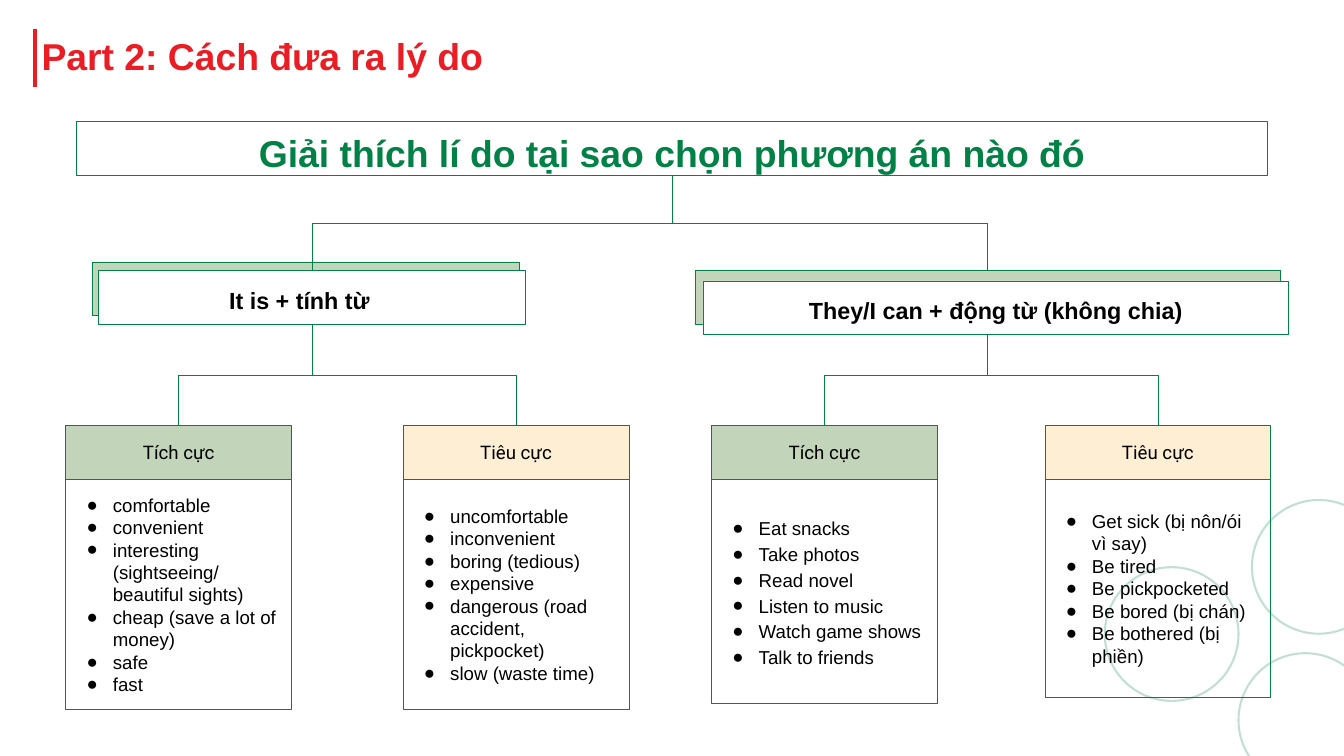
from dataclasses import dataclass

from lxml.etree import SubElement
from pptx import Presentation
from pptx.dml.color import RGBColor
from pptx.enum.shapes import MSO_AUTO_SHAPE_TYPE as Shape
from pptx.enum.shapes import MSO_CONNECTOR_TYPE as Connector
from pptx.enum.text import MSO_VERTICAL_ANCHOR as Anchor
from pptx.enum.text import PP_PARAGRAPH_ALIGNMENT as Align
from pptx.oxml.ns import qn
from pptx.util import Inches, Pt


@dataclass(frozen=True)
class Theme:
    red: str = "EB1C24"
    green: str = "018146"
    leaf: str = "38761D"
    amber: str = "F7B94C"
    white: str = "FFFFFF"
    black: str = "000000"
    font: str = "Arial"
    label_font: str = "Roboto"
    title_size: int = 40
    branch_size: int = 25
    body_size: int = 20
    thin: float = 0.75
    ring: float = 2.25
    bar: float = 4.5


THEME = Theme()
LEAF_FILL = (THEME.leaf, 30)
AMBER_FILL = (THEME.amber, 24)
WHITE_FILL = (THEME.white, 100)

TITLE_TEXT = dict(size=THEME.title_size, name=THEME.font, bold=True)
BRANCH_TEXT = dict(size=THEME.branch_size, name=THEME.font, bold=True)
LABEL_TEXT = dict(size=THEME.body_size, name=THEME.label_font)
BODY_TEXT = dict(size=THEME.body_size, name=THEME.font)

BOX_HEIGHT = 0.8
BRANCH_TOP = 4.03
CARD_TOP, CARD_WIDTH = 6.33, 3.36
RING_SIZE = 1.99
RINGS = [(16.44, 8.44), (18.63, 7.44), (18.43, 9.72)]

# Left edge, label, label fill, list height, line spacing, list items
CARDS = [
    (0.98, "Tích cực", LEAF_FILL, 3.43, 1.0,
     ["comfortable", "convenient", "interesting (sightseeing/", "beautiful sights)",
      "cheap (save a lot of money)", "safe", "fast"]),
    (6.0, "Tiêu cực", AMBER_FILL, 3.43, 1.0,
     ["uncomfortable", "inconvenient", "boring (tedious)", "expensive",
      "dangerous (road accident, pickpocket)", "slow (waste time)"]),
    (10.59, "Tích cực", LEAF_FILL, 3.33, 1.15,
     ["Eat snacks", "Take photos", "Read novel", "Listen to music",
      "Watch game shows", "Talk to friends"]),
    (15.55, "Tiêu cực", AMBER_FILL, 3.25, 1.0,
     ["Get sick (bị nôn/ói vì say)", "Be tired", "Be pickpocketed",
      "Be bored (bị chán)", "Be bothered (bị phiền)"]),
]
CONTINUATIONS = {"beautiful sights)"}  # carries on the item above, no bullet


def paint(fill, color, opacity=100):
    fill.solid()
    fill.fore_color.rgb = RGBColor.from_string(color)
    if opacity < 100:
        tint = fill._xPr.find(qn("a:solidFill"))[0]
        SubElement(tint, qn("a:alpha"), val=str(opacity * 1000))


def add_box(page, left, top, width, height, fill=None, kind=Shape.RECTANGLE,
            weight=THEME.thin, line_opacity=100):
    box = page.shapes.add_shape(kind, *map(Inches, (left, top, width, height)))
    box.shadow.inherit = False
    if fill:
        paint(box.fill, *fill)
    else:
        box.fill.background()
    paint(box.line.fill, THEME.green, line_opacity)
    box.line.width = Pt(weight)
    return box


def set_frame(box, side=0.2, edge=0.2, right=None):
    frame = box.text_frame
    settings = dict(word_wrap=True, vertical_anchor=Anchor.MIDDLE,
                    margin_left=Inches(side), margin_right=Inches(right or side),
                    margin_top=Inches(edge), margin_bottom=Inches(edge))
    for name, value in settings.items():
        setattr(frame, name, value)
    return frame


def write(para, text, style, color=THEME.black, align=Align.CENTER, spacing=1.0):
    para.alignment = align
    para.line_spacing = spacing
    span = para.add_run()
    span.text = text
    for name, value in style.items():
        setattr(span.font, name, Pt(value) if name == "size" else value)
    span.font.color.rgb = RGBColor.from_string(color)


def add_bullet(para, bulleted):
    props = para._p.get_or_add_pPr()
    props.set("marL", str(Inches(0.5)))
    props.set("indent", str(Inches(-0.39) if bulleted else 0))
    if bulleted:
        color = SubElement(props, qn("a:buClr"))
        SubElement(color, qn("a:srgbClr"), val=THEME.black)
        SubElement(props, qn("a:buFont"), typeface=THEME.font)
        SubElement(props, qn("a:buChar"), char="●")
    else:
        SubElement(props, qn("a:buNone"))


def style_connector(connector, color, weight):
    paint(connector.line.fill, color)
    connector.line.width = Pt(weight)
    SubElement(connector._element.spPr, qn("a:effectLst"))


def add_branch(page, parent, child):
    """Elbow from the parent's bottom down, across and down to the child's top."""
    x1, y1 = parent.left + parent.width // 2, parent.top + parent.height
    x2, y2 = child.left + child.width // 2, child.top
    elbow = page.shapes.add_connector(Connector.ELBOW, x1, y1, x2, y2)
    elbow.begin_connect(parent, 2)
    elbow.end_connect(child, 0)
    # The elbow is turned a quarter, so its width is the drop and its height the run
    drop, run = y2 - y1, abs(x2 - x1)
    frame = dict(left=(x1 + x2 - drop) // 2, top=(y1 + y2 - run) // 2,
                 width=drop, height=run)
    for name, value in frame.items():
        setattr(elbow, name, value)
    rightward = x2 > x1
    xfrm = elbow._element.spPr.find(qn("a:xfrm"))
    xfrm.set("rot", str((270 if rightward else 90) * 60000))
    xfrm.set("flipH", "1" if rightward else "0")
    style_connector(elbow, THEME.green, THEME.thin)


def add_card(page, left, label, fill, height, spacing, items):
    header = add_box(page, left, CARD_TOP, CARD_WIDTH, BOX_HEIGHT, fill)
    write(set_frame(header).paragraphs[0], label, LABEL_TEXT)
    body = add_box(page, left, CARD_TOP + BOX_HEIGHT, CARD_WIDTH, height)
    frame = set_frame(body)
    for index, item in enumerate(items):
        para = frame.add_paragraph() if index else frame.paragraphs[0]
        add_bullet(para, item not in CONTINUATIONS)
        write(para, item, BODY_TEXT, align=Align.LEFT, spacing=spacing)
    return header


def add_title(page):
    bar = page.shapes.add_connector(
        Connector.STRAIGHT, *map(Inches, (0.52, 0.43, 0.52, 1.3)))
    style_connector(bar, THEME.red, THEME.bar)
    box = page.shapes.add_textbox(*map(Inches, (0.52, 0.43, 18.96, 0.87)))
    write(set_frame(box, 0.1, 0.05).paragraphs[0], "Part 2: Cách đưa ra lý do",
          TITLE_TEXT, THEME.red, Align.LEFT, 0.9)


def main():
    deck = Presentation()
    deck.slide_width, deck.slide_height = Inches(20), Inches(11.25)
    page = deck.slides.add_slide(deck.slide_layouts[6])

    # Background rings and title
    for left, top in RINGS:
        add_box(page, left, top, RING_SIZE, RING_SIZE, kind=Shape.OVAL,
                weight=THEME.ring, line_opacity=24)
    add_title(page)

    # Root and the two branches, each with a tinted box behind
    root = add_box(page, 1.14, 1.81, 17.72, BOX_HEIGHT)
    write(set_frame(root).paragraphs[0], "Giải thích lí do tại sao chọn phương án nào đó",
          TITLE_TEXT, THEME.green, spacing=1.2)
    add_box(page, 1.38, 3.9, 6.35, BOX_HEIGHT, LEAF_FILL)
    adjective = add_box(page, 1.47, BRANCH_TOP, 6.35, BOX_HEIGHT, WHITE_FILL)
    write(set_frame(adjective, right=0.58).paragraphs[0], "It is + tính từ",
          BRANCH_TEXT, spacing=1.15)
    verb_back = add_box(page, 10.34, BRANCH_TOP, 8.71, BOX_HEIGHT, LEAF_FILL)

    # Cards and the tree lines
    headers = [add_card(page, *card) for card in CARDS]
    tree = [(root, (adjective, verb_back)),
            (adjective, headers[:2]), (verb_back, headers[2:])]
    for parent, children in tree:
        for child in children:
            add_branch(page, parent, child)

    # The front verb box covers the start of its tree lines
    verb = add_box(page, 10.46, 4.18, 8.71, BOX_HEIGHT, WHITE_FILL)
    write(set_frame(verb).paragraphs[0], "They/I can + động từ (không chia)",
          BRANCH_TEXT, spacing=1.15)

    deck.save("out.pptx")


if __name__ == "__main__":
    main()
